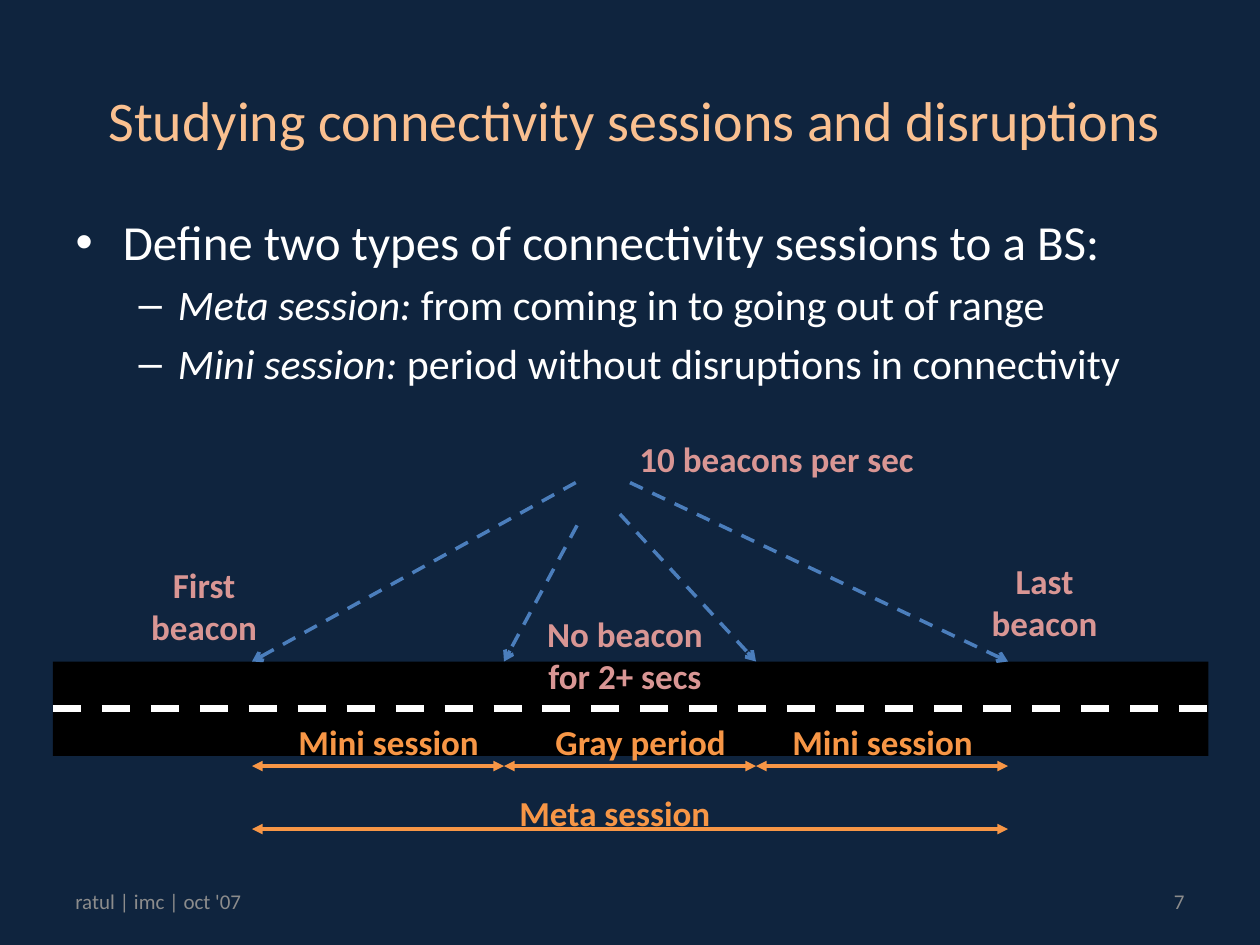
from lxml.etree import SubElement
from pptx import Presentation
from pptx.dml.color import RGBColor
from pptx.enum.dml import MSO_LINE as Dash
from pptx.enum.shapes import MSO_CONNECTOR as Connector, MSO_SHAPE as Shape
from pptx.enum.text import MSO_ANCHOR as Anchor, MSO_AUTO_SIZE as AutoSize, PP_ALIGN as Align
from pptx.oxml.ns import qn
from pptx.util import Inches, Pt

NAVY = RGBColor(0x0F, 0x24, 0x3E)
BLACK = RGBColor(0x00, 0x00, 0x00)
WHITE = RGBColor(0xFF, 0xFF, 0xFF)
PEACH = RGBColor(0xFA, 0xC0, 0x90)
PINK = RGBColor(0xD9, 0x96, 0x94)
ORANGE = RGBColor(0xF7, 0x96, 0x46)
BLUE = RGBColor(0x4B, 0x7E, 0xBC)
GRAY = RGBColor(0x8C, 0x8C, 0x8C)
FONT = "Calibri"

presentation = Presentation()
presentation.slide_width = Inches(10)
presentation.slide_height = Inches(7.5)
slide = presentation.slides.add_slide(presentation.slide_layouts[1])
slide.background.fill.solid()
slide.background.fill.fore_color.rgb = NAVY


def add_label(text, left, top, width, height, color, size=20, bold=True, align=Align.CENTER):
    box = slide.shapes.add_textbox(Inches(left), Inches(top), Inches(width), Inches(height))
    frame = box.text_frame
    frame.word_wrap = True
    frame.text = text
    paragraph = frame.paragraphs[0]
    paragraph.alignment = align
    font = paragraph.runs[0].font
    font.name, font.size, font.bold = FONT, Pt(size), bold
    font.color.rgb = color
    return frame


def add_line(start, end, color, width, dash=None, head=None, tail=None):
    points = [Inches(value) for value in (*start, *end)]
    line = slide.shapes.add_connector(Connector.STRAIGHT, *points)
    line.line.color.rgb = color
    line.line.width = Pt(width)
    if dash:
        line.line.dash_style = dash
    outline = line.line._get_or_add_ln()
    for tag, arrow in (("a:headEnd", head), ("a:tailEnd", tail)):
        if arrow:
            SubElement(outline, qn(tag)).set("type", arrow)
    SubElement(line._element.spPr, qn("a:effectLst"))
    return line


title = slide.shapes.title
title.left, title.top = Inches(0.25), Inches(0.47)
title.width, title.height = Inches(9.58), Inches(0.95)
title.text_frame.text = "Studying connectivity sessions and disruptions"
title.text_frame.auto_size = AutoSize.NONE
title_font = title.text_frame.paragraphs[0].runs[0].font
title_font.name, title_font.size = FONT, Pt(32)
title_font.color.rgb = PEACH

body = slide.placeholders[1]
body.left, body.top = Inches(0.5), Inches(1.63)
body.width, body.height = Inches(9.25), Inches(1.62)
body.text_frame.auto_size = AutoSize.NONE
bullets = [
    (0, 28, "", "Define two types of connectivity sessions to a BS:"),
    (1, 24, "Meta session:", " from coming in to going out of range"),
    (1, 24, "Mini session:", " period without disruptions in connectivity"),
]
for index, (level, size, term, text) in enumerate(bullets):
    paragraph = body.text_frame.paragraphs[0] if index == 0 else body.text_frame.add_paragraph()
    paragraph.level = level
    if index == 0:
        paragraph.space_before = Pt(0)
    for part, italic in ((term, True), (text, False)):
        if part:
            run = paragraph.add_run()
            run.text = part
            run.font.name, run.font.size, run.font.italic = FONT, Pt(size), italic
            run.font.color.rgb = WHITE

road = slide.shapes.add_shape(Shape.RECTANGLE, Inches(0.42), Inches(5.25), Inches(9.17), Inches(0.75))
road.shadow.inherit = False
road.fill.solid()
road.fill.fore_color.rgb = BLACK
road.line.fill.background()
lane = add_line((0.42, 5.62), (9.58, 5.62), WHITE, 4, Dash.DASH)
lane.begin_connect(road, 1)
lane.end_connect(road, 3)

beacon_starts = [(4.57, 3.83), (4.58, 4.17), (4.92, 4.08), (5, 3.83)]
for start, road_x in zip(beacon_starts, (2, 4, 6, 8)):
    add_line(start, (road_x, 5.25), BLUE, 2, Dash.DASH, tail="arrow")

for left, right, top in ((2, 4, 6.08), (4, 6, 6.08), (6, 8, 6.08), (2, 8, 6.58)):
    add_line((right, top), (left, top), ORANGE, 2, head="triangle", tail="triangle")

for text, left, top, width, height, color in (
    ("10 beacons per sec", 4.83, 3.42, 2.67, 0.44, PINK),
    ("First beacon", 1.08, 4.42, 1.08, 0.77, PINK),
    ("Last beacon", 7.75, 4.39, 1.08, 0.77, PINK),
    ("No beacon for 2+ secs", 4.17, 4.81, 1.58, 0.77, PINK),
    ("Mini session", 2.25, 5.67, 1.67, 0.44, ORANGE),
    ("Gray period", 4.25, 5.67, 1.67, 0.44, ORANGE),
    ("Mini session", 6.17, 5.67, 1.67, 0.44, ORANGE),
    ("Meta session", 3.92, 6.23, 1.92, 0.44, ORANGE),
):
    add_label(text, left, top, width, height, color)

for text, left, align in (("ratul | imc | oct '07", 0.5, Align.LEFT), ("7", 7.17, Align.RIGHT)):
    footer = add_label(text, left, 6.95, 2.33, 0.4, GRAY, 12, False, align)
    footer.vertical_anchor = Anchor.MIDDLE

presentation.save("out.pptx")
